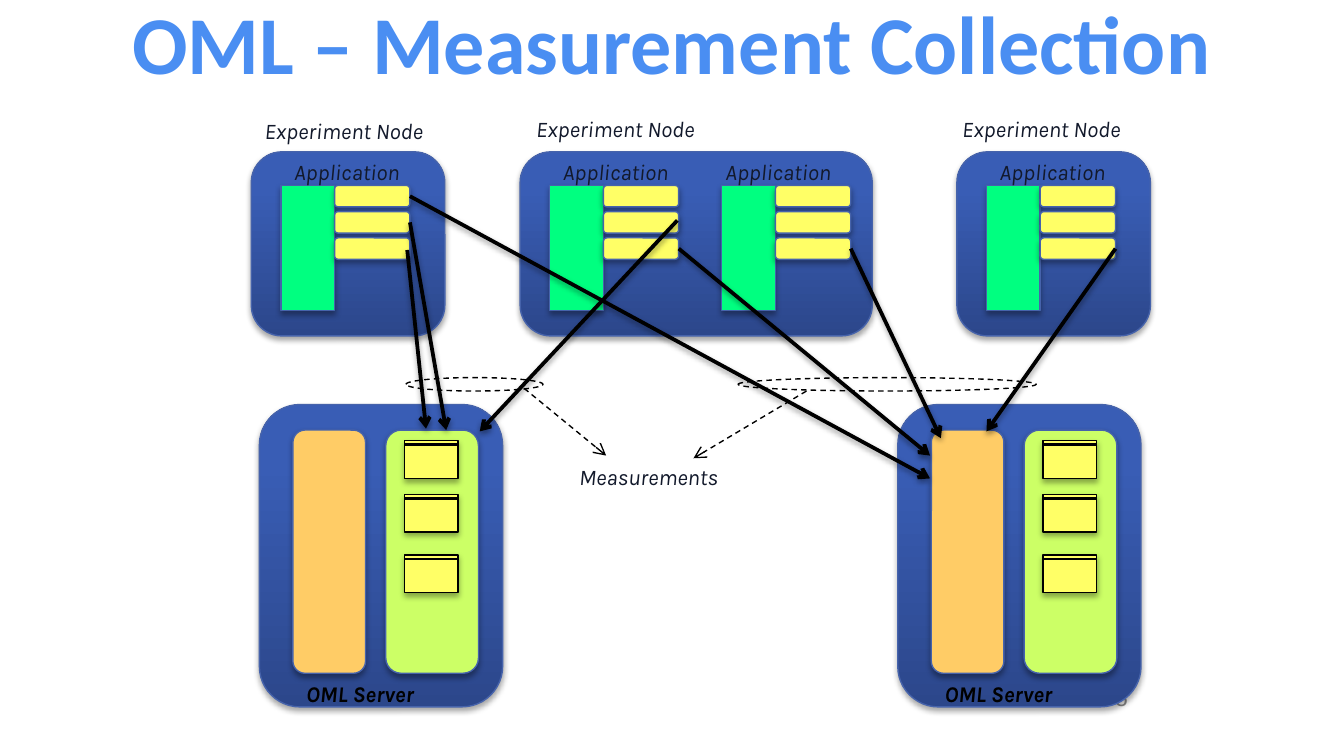
from copy import deepcopy

from pptx import Presentation
from pptx.dml.color import RGBColor
from pptx.enum.dml import MSO_LINE
from pptx.enum.shapes import MSO_CONNECTOR, MSO_SHAPE
from pptx.enum.text import MSO_ANCHOR, PP_ALIGN
from pptx.oxml import parse_xml
from pptx.oxml.ns import nsdecls, qn
from pptx.util import Inches, Pt

BLACK = RGBColor(0x00, 0x00, 0x00)
INK = RGBColor(0x12, 0x19, 0x2B)
TITLE_BLUE = RGBColor(0x4A, 0x8E, 0xF2)
GREY = RGBColor(0x8C, 0x8C, 0x8C)
EDGE = RGBColor(0x46, 0x63, 0xAB)
GREEN = RGBColor(0x00, 0xFF, 0x80)
YELLOW = RGBColor(0xFF, 0xFF, 0x66)
ORANGE = RGBColor(0xFF, 0xCC, 0x66)
LIME = RGBColor(0xCC, 0xFF, 0x66)
PANEL_STOPS = [(0, RGBColor(0x2C, 0x47, 0x8B)), (0.8, RGBColor(0x39, 0x5D, 0xB5)),
               (1, RGBColor(0x37, 0x5C, 0xB8))]

TITLE = "OML – Measurement Collection"
# Left, width, label left and top, then (block left, label left) of each application
NODES = [
    (1.87, 1.44, 1.87, 0.82, [(2.09, 2.09)]),
    (3.87, 2.62, 3.89, 0.81, [(4.09, 4.09), (5.37, 5.30)]),
    (7.12, 1.44, 7.06, 0.81, [(7.34, 7.34)]),
]
NODE_TOP, NODE_HEIGHT = 1.13, 1.37
APP_TOP, APP_WIDTH, APP_HEIGHT = 1.38, 0.4, 0.93
BAR_WIDTH, BAR_HEIGHT, BAR_PITCH, BAR_COUNT = 0.56, 0.16, 0.195, 3
SERVERS = [6.68, 1.93]
SERVER_TOP = 3.01
TABLE_TOPS = [3.28, 3.68, 4.13]
# Start is (application, bar) for a joined arrow, or a free point
JOINED_FLOWS = [
    ((1, 2), (6.92, 3.39)),
    ((2, 2), (7.00, 3.26)),
    ((3, 2), (7.34, 3.21)),
    ((0, 1), (3.32, 3.20)),
    ((0, 0), (6.92, 3.56)),
]
FREE_FLOWS = [((3.03, 1.86), (3.17, 3.19)), ((5.04, 1.64), (3.57, 3.21))]
BUNDLES = [(5.49, 2.22), (3.02, 1.02)]
CALLOUTS = [((6.00, 2.91), (5.16, 3.41)), ((3.90, 2.89), (4.51, 3.39))]


def set_effects(item, alpha=0, distance=1.8):
    """Give the item a soft shadow below, or none when alpha is 0."""
    properties = item._element.spPr
    for old in properties.findall(qn("a:effectLst")):
        properties.remove(old)
    shadow = (f'<a:outerShdw blurRad="{Pt(3.1)}" dist="{Pt(distance)}" dir="5400000" '
              f'rotWithShape="0"><a:srgbClr val="000000"><a:alpha val="{alpha * 1000}"/>'
              '</a:srgbClr></a:outerShdw>') if alpha else ""
    properties.append(parse_xml(f'<a:effectLst {nsdecls("a")}>{shadow}</a:effectLst>'))


def add_box(shapes, kind, left, top, width, height, color=None, edge=EDGE):
    box = shapes.add_shape(kind, *map(Inches, (left, top, width, height)))
    box.line.color.rgb = edge
    box.line.width = Pt(0.75)
    if color is None:
        box.fill.background()
    else:
        box.fill.solid()
        box.fill.fore_color.rgb = color
    set_effects(box, 0 if color is None else 35)
    return box


def add_panel(shapes, left, top, width, height):
    panel = add_box(shapes, MSO_SHAPE.ROUNDED_RECTANGLE, left, top, width, height, EDGE)
    panel.fill.gradient()
    panel.fill.gradient_angle = 90
    stop_list = panel._element.spPr.find(".//" + qn("a:gsLst"))
    stop_list.append(deepcopy(stop_list[-1]))
    for stop, (position, color) in zip(panel.fill.gradient_stops, PANEL_STOPS):
        stop.position = position
        stop.color.rgb = color


def style(frame, size, font, color, bold=False, italic=False):
    for run in frame.paragraphs[0].runs:
        run.font.size, run.font.name = Pt(size), font
        run.font.bold, run.font.italic = bold, italic
        run.font.color.rgb = color


def add_label(shapes, text, left, top, width, color=INK, bold=False, wrap=True):
    label = shapes.add_textbox(*map(Inches, (left, top, width, 0.3)))
    label.text_frame.text = text
    label.text_frame.word_wrap = wrap
    style(label.text_frame, 12, "Karla", color, bold, italic=True)


def add_line(shapes, start, end, width, arrow=False, dashed=False, shadow=0):
    line = shapes.add_connector(MSO_CONNECTOR.STRAIGHT, *map(Inches, (*start, *end)))
    line.line.color.rgb = BLACK
    line.line.width = Pt(width)
    if dashed:
        line.line.dash_style = MSO_LINE.DASH
    if arrow:
        line.line._get_or_add_ln().append(
            parse_xml(f'<a:tailEnd {nsdecls("a")} type="arrow"/>'))
    set_effects(line, shadow, 1.6)
    return line


def add_server(shapes, left):
    add_panel(shapes, left, SERVER_TOP, 1.81, 2.25)
    for offset, width, color in [(0.25, 0.54, ORANGE), (0.94, 0.69, LIME)]:
        add_box(shapes, MSO_SHAPE.ROUNDED_RECTANGLE, left + offset, SERVER_TOP + 0.19,
                width, 1.81, color)
    table_left = left + 1.08
    for top in TABLE_TOPS:
        add_box(shapes, MSO_SHAPE.RECTANGLE, table_left, top, 0.4, 0.28, YELLOW, BLACK)
        add_line(shapes, (table_left, top + 0.03), (table_left + 0.4, top + 0.03), 1.5)
    add_label(shapes, "OML Server", left + 0.25, SERVER_TOP + 2, 1.04, BLACK,
              bold=True, wrap=False)


def add_node(shapes, left, width, label_left, label_top, applications):
    """Draw one experiment node and return the bars of each application."""
    add_panel(shapes, left, NODE_TOP, width, NODE_HEIGHT)
    add_label(shapes, "Experiment Node", label_left, label_top, 1.5)
    node_bars = []
    for app_left, app_label_left in applications:
        add_box(shapes, MSO_SHAPE.RECTANGLE, app_left, APP_TOP, APP_WIDTH, APP_HEIGHT, GREEN)
        node_bars.append([
            add_box(shapes, MSO_SHAPE.ROUNDED_RECTANGLE, app_left + APP_WIDTH,
                    APP_TOP + row * BAR_PITCH, BAR_WIDTH, BAR_HEIGHT, YELLOW)
            for row in range(BAR_COUNT)])
        add_label(shapes, "Application", app_label_left, NODE_TOP, 1.03)
    return node_bars


def main():
    deck = Presentation()
    deck.slide_width = Inches(10)
    deck.slide_height = deck.slide_width * 9 // 16
    slide = deck.slides.add_slide(deck.slide_layouts[5])
    shapes = slide.shapes

    title = shapes.title
    title.left, title.top, title.width, title.height = map(Inches, (0, 0, 10, 0.62))
    title.text_frame.text = TITLE
    title.text_frame.vertical_anchor = MSO_ANCHOR.MIDDLE
    title.text_frame.paragraphs[0].alignment = PP_ALIGN.CENTER
    style(title.text_frame, 44, "Calibri", TITLE_BLUE, bold=True)

    page_number = shapes.add_textbox(*map(Inches, (6.74, 5, 1.75, 0.38))).text_frame
    page_number.text = "5"
    page_number.word_wrap = True
    page_number.vertical_anchor = MSO_ANCHOR.MIDDLE
    page_number.paragraphs[0].alignment = PP_ALIGN.RIGHT
    style(page_number, 12, "Arial", GREY)

    for left in SERVERS:
        add_server(shapes.add_group_shape().shapes, left)
    bars = []
    for node in NODES:
        bars += add_node(shapes.add_group_shape().shapes, *node)

    for (app, row), end in JOINED_FLOWS:
        flow = add_line(shapes, (0, 0), end, 2, arrow=True, shadow=38)
        flow.begin_connect(bars[app][row], 3)
    for start, end in FREE_FLOWS:
        add_line(shapes, start, end, 2, arrow=True, shadow=38)

    add_label(shapes, "Measurements", 4.21, 3.4, 1.31)
    for left, width in BUNDLES:
        bundle = add_box(shapes, MSO_SHAPE.OVAL, left, 2.81, width, 0.1, edge=BLACK)
        bundle.line.dash_style = MSO_LINE.DASH
    for start, end in CALLOUTS:
        add_line(shapes, start, end, 0.75, arrow=True, dashed=True)

    deck.save("out.pptx")


if __name__ == "__main__":
    main()
